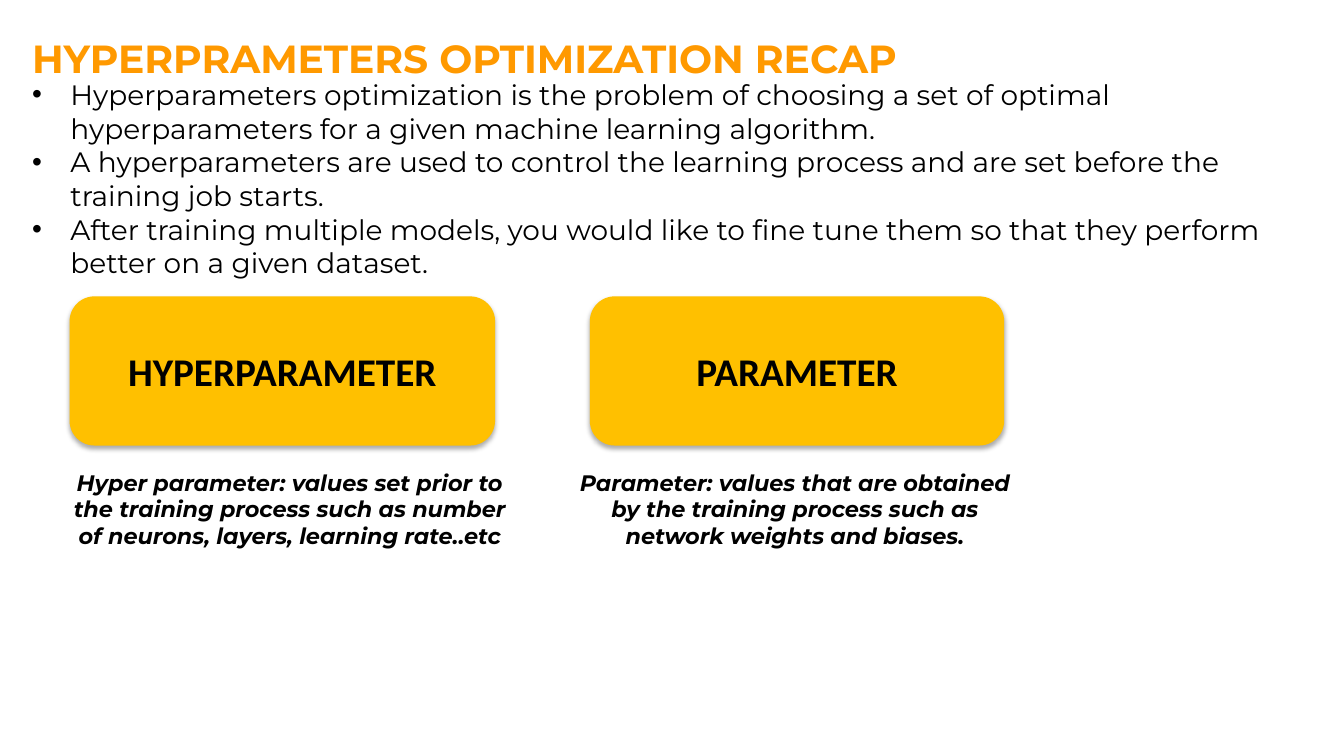
"""Build a slide that recaps hyperparameter optimization."""
from lxml import etree
from pptx import Presentation
from pptx import util as u
from pptx.dml.color import RGBColor
from pptx.enum import shapes, text
from pptx.oxml import parse_xml
from pptx.oxml.ns import nsdecls, qn

PX = 9144
ORANGE = RGBColor(0xFF, 0x99, 0x00)
AMBER = RGBColor(0xFF, 0xC0, 0x00)
BLACK = RGBColor(0, 0, 0)
BULLET_INDENT = 38 * PX
SHADOW = f"""<a:effectLst {nsdecls('a')}>
<a:outerShdw blurRad="{u.Pt(3.5)}" dist="{u.Pt(2.2)}" dir="5400000" rotWithShape="0">
<a:srgbClr val="000000"><a:alpha val="32000"/></a:srgbClr>
</a:outerShdw></a:effectLst>"""

deck = Presentation()
deck.slide_width, deck.slide_height = 1333 * PX, 750 * PX
page = deck.slides.add_slide(deck.slide_layouts[6])


def write(box, *lines, size, font="Montserrat", color=BLACK, bold=False,
          italic=False, align=text.PP_ALIGN.LEFT, bullet=False):
    """Write one paragraph per line into the box."""
    frame = box.text_frame
    frame.word_wrap = True
    for number, line in enumerate(lines):
        para = frame.add_paragraph() if number else frame.paragraphs[0]
        para.alignment = align
        span = para.add_run()
        span.text = line
        span.font.name = font
        span.font.size = u.Pt(size)
        span.font.bold = bold
        span.font.italic = italic
        span.font.color.rgb = color
        if bullet:
            layout = para._p.get_or_add_pPr()
            layout.set("marL", str(BULLET_INDENT))
            layout.set("indent", str(-BULLET_INDENT))
            etree.SubElement(layout, qn("a:buFont")).set("typeface", "Arial")
            etree.SubElement(layout, qn("a:buChar")).set("char", "•")


def place(left, top, width, height):
    """Turn px lengths into EMU."""
    return [length * PX for length in (left, top, width, height)]


title = page.shapes.add_textbox(*place(22, 29, 950, 57))
write(title, "HYPERPRAMETERS OPTIMIZATION RECAP", size=28, color=ORANGE, bold=True)

points = page.shapes.add_textbox(*place(22, 72, 1296, 212))
write(
    points,
    "Hyperparameters optimization is the problem of choosing a set of optimal "
    "hyperparameters for a given machine learning algorithm.",
    "A hyperparameters are used to control the learning process and are set "
    "before the training job starts.",
    "After training multiple models, you would like to fine tune them so that "
    "they perform better on a given dataset.",
    size=20, bullet=True,
)

TERMS = [
    ("HYPERPARAMETER", 69, 422, 49, 477,
     "Hyper parameter: values set prior to the training process such as number "
     "of neurons, layers, learning rate..etc"),
    ("PARAMETER", 585, 411, 559, 459,
     "Parameter: values that are obtained by the training process such as "
     "network weights and biases."),
]
for term, card_left, card_width, note_left, note_width, meaning in TERMS:
    card = page.shapes.add_shape(
        shapes.MSO_SHAPE.ROUNDED_RECTANGLE, *place(card_left, 294, card_width, 148))
    card.fill.solid()
    card.fill.fore_color.rgb = AMBER
    card.line.fill.background()
    card._element.spPr.append(parse_xml(SHADOW))
    card.text_frame.vertical_anchor = text.MSO_ANCHOR.MIDDLE
    write(card, term, size=28, font="Calibri", bold=True, align=text.PP_ALIGN.CENTER)

    note = page.shapes.add_textbox(*place(note_left, 460, note_width, 91))
    write(note, meaning, size=16, bold=True, italic=True, align=text.PP_ALIGN.CENTER)

deck.save("out.pptx")
